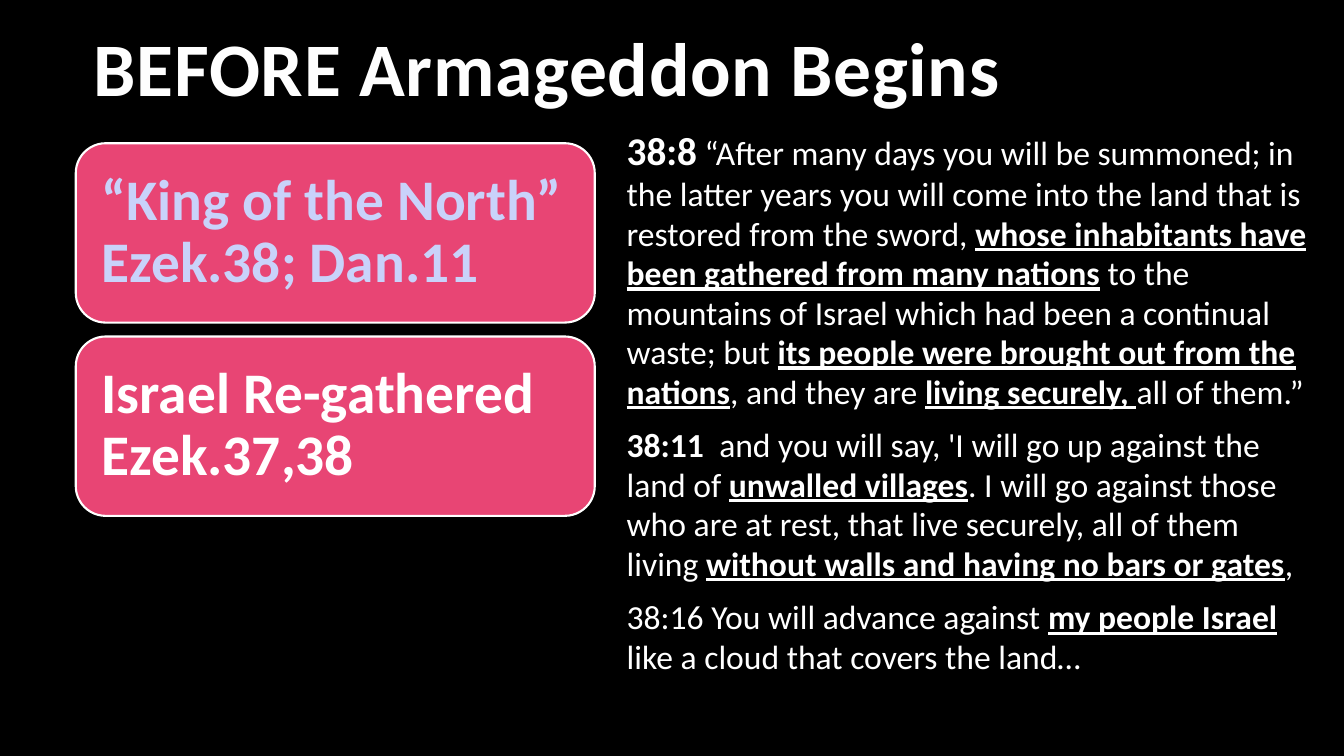
from lxml import etree
from pptx import Presentation
from pptx.dml.color import RGBColor
from pptx.enum.shapes import MSO_SHAPE
from pptx.enum.text import MSO_ANCHOR, PP_ALIGN
from pptx.oxml.ns import qn
from pptx.util import Cm, Pt

ROUND = MSO_SHAPE.ROUNDED_RECTANGLE
LEFT = PP_ALIGN.LEFT
MIDDLE = MSO_ANCHOR.MIDDLE
TOP = MSO_ANCHOR.TOP

FONT = "Calibri"
BLACK = RGBColor(0x00, 0x00, 0x00)
WHITE = RGBColor(0xFF, 0xFF, 0xFF)
CREAM = RGBColor(0xFE, 0xFE, 0xFE)
PINK = RGBColor(0xE8, 0x45, 0x74)
LILAC = RGBColor(0xC9, 0xD2, 0xFA)
BLUE = RGBColor(0x79, 0x8F, 0xF2)

TOPICS = [
    ("“King of the North” Ezek.38; Dan.11", LILAC, BLUE),
    ("Israel Re-gathered Ezek.37,38", WHITE, None),
]

# Each run: text, style ("" plain, "b" bold, "bu" bold underlined), size
VERSES = [
    [
        ("38:8", "b", 28),
        (" “After many days you will be summoned; in the latter years you "
         "will come into the land that is restored from the sword, ", "", 24),
        ("whose inhabitants have been gathered from many nations", "bu", 24),
        (" to the mountains of Israel which had been a continual waste; but ",
         "", 24),
        ("its people were brought out from the nations", "bu", 24),
        (", and they are ", "", 24),
        ("living securely, ", "bu", 24),
        ("all of them.”", "", 24),
    ],
    [
        ("38:11 ", "b", 24),
        (" and you will say, 'I will go up against the land of ", "", 24),
        ("unwalled villages", "bu", 24),
        (". I will go against those who are at rest, that live securely, "
         "all of them living ", "", 24),
        ("without walls and having no bars or gates", "bu", 24),
        (",", "", 24),
    ],
    [
        ("38:16 You will advance against ", "", 24),
        ("my people Israel", "bu", 24),
        (" like a cloud that covers the land…", "", 24),
    ],
]


def place(shape, left, top, width, height):
    shape.left, shape.top = Cm(left), Cm(top)
    shape.width, shape.height = Cm(width), Cm(height)


def add_run(para, text, size, color, style="b"):
    run = para.add_run()
    run.text = text
    font = run.font
    font.name, font.size = FONT, Pt(size)
    font.color.rgb = color
    font.bold = "b" in style
    font.underline = "u" in style
    return run


def add_node(parent, tag, **attrs):
    return etree.SubElement(parent, qn(tag), attrs)


def outline(run, color, width):
    props = run.font._element
    line = add_node(props, "a:ln", w=str(Pt(width)))
    fill = add_node(line, "a:solidFill")
    add_node(fill, "a:srgbClr", val=str(color))
    props.insert(0, line)


def cast(run, color):
    """Give the letters of a run a soft shadow."""
    props = run.font._element
    effect = add_node(props, "a:effectLst")
    shade = add_node(effect, "a:outerShdw", blurRad="38100", dist="38100",
                     dir="2700000", algn="tl")
    tint = add_node(shade, "a:srgbClr", val=str(color))
    add_node(tint, "a:alpha", val="60000")
    props.find(qn("a:solidFill")).addnext(effect)


def set_title(slide):
    title = slide.shapes.title
    place(title, 2.11, 0.2, 28.14, 2.92)
    frame = title.text_frame
    frame.word_wrap = True
    frame.vertical_anchor = MIDDLE
    para = frame.paragraphs[0]
    para.alignment = LEFT
    run = add_run(para, "BEFORE Armageddon Begins", 54, CREAM)
    run.font._element.set("spc", "50")
    outline(run, PINK, 0.75)
    cast(run, PINK)


def add_topic(slide, top, text, color, edge):
    card = slide.shapes.add_shape(ROUND, Cm(1.91), Cm(top),
                                  Cm(13.08), Cm(4.52))
    card.shadow.inherit = False
    card.fill.solid()
    card.fill.fore_color.rgb = PINK
    card.line.color.rgb = WHITE
    card.line.width = Pt(1.5)
    frame = card.text_frame
    frame.word_wrap = True
    frame.vertical_anchor = MIDDLE
    frame.margin_left = frame.margin_right = Cm(0.43)
    frame.margin_top = frame.margin_bottom = Cm(0.43)
    para = frame.paragraphs[0]
    para.alignment = LEFT
    para.line_spacing = 0.9
    run = add_run(para, text, 41, color)
    if edge:
        outline(run, edge, 1.75)


def set_verses(slide):
    body = slide.placeholders[1]
    place(body, 15.54, 3.12, 17.93, 14.5)
    frame = body.text_frame
    frame.word_wrap = True
    frame.vertical_anchor = TOP
    for index, verse in enumerate(VERSES):
        para = frame.add_paragraph() if index else frame.paragraphs[0]
        para.alignment = LEFT
        para.line_spacing = 0.98
        para.space_before, para.space_after = Pt(0), Pt(10)
        props = para._p.get_or_add_pPr()
        props.set("marL", "0")
        props.set("indent", "0")
        add_node(props, "a:buNone")
        for text, style, size in verse:
            add_run(para, text, size, WHITE, style)


def main():
    deck = Presentation()
    deck.slide_width, deck.slide_height = Cm(33.87), Cm(19.05)
    slide = deck.slides.add_slide(deck.slide_layouts[1])
    slide.background.fill.solid()
    slide.background.fill.fore_color.rgb = BLACK
    set_title(slide)
    for index, topic in enumerate(TOPICS):
        add_topic(slide, 3.61 + 4.87 * index, *topic)
    set_verses(slide)
    deck.save("out.pptx")


if __name__ == "__main__":
    main()
